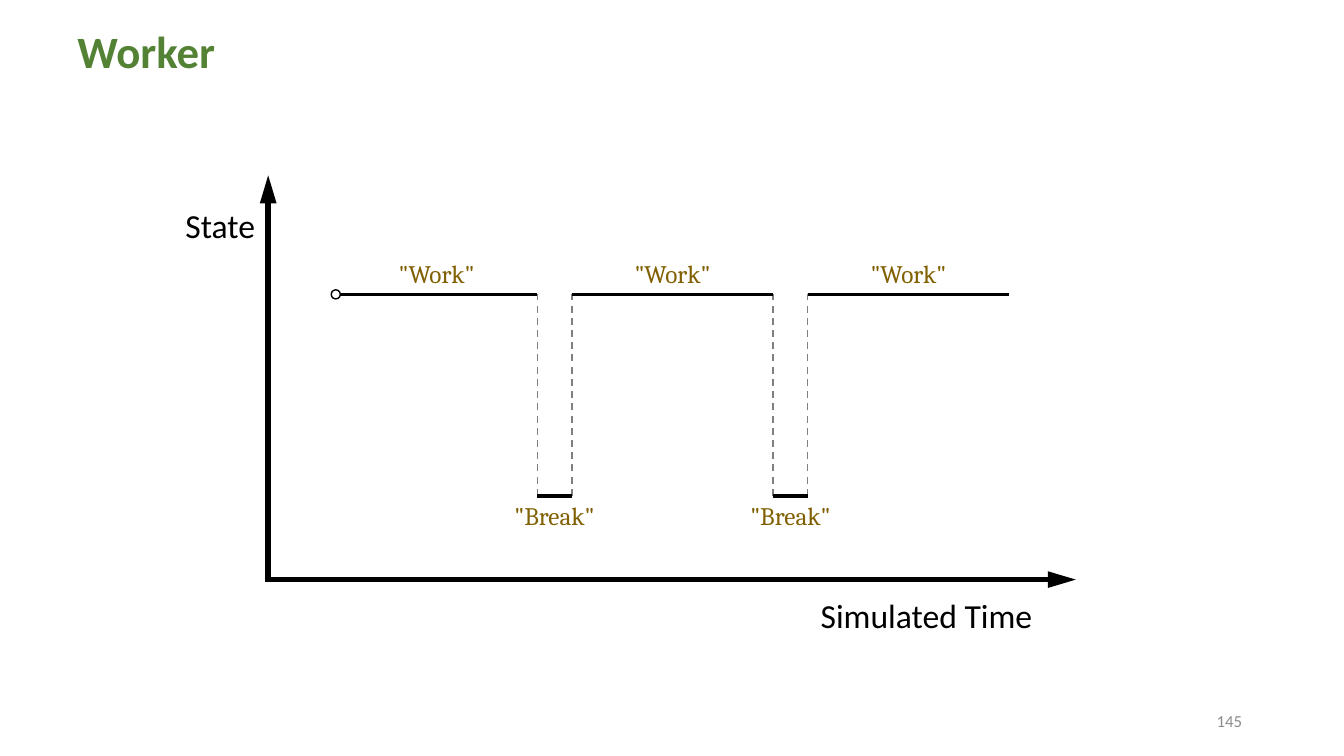
from dataclasses import dataclass
from typing import Optional

from pptx import Presentation
from pptx.dml.color import RGBColor
from pptx.enum.dml import MSO_LINE
from pptx.enum.shapes import MSO_CONNECTOR, MSO_SHAPE
from pptx.enum.text import MSO_ANCHOR, MSO_AUTO_SIZE, PP_ALIGN
from pptx.oxml.ns import qn
from pptx.util import Inches, Pt
from lxml.etree import SubElement

COLORS = {
    "axis": "000000",
    "state": "000000",
    "transition": "808080",
    "label": "806000",
    "title": "548235",
    "number": "8C8C8C",
    "marker": "FFFFFF",
}

# Timeline geometry, in inches
TIMELINE_START = 3.33
WORK_TIME, BREAK_TIME = 2.0, 0.34
WORK_LEVEL, BREAK_LEVEL = 2.92, 4.92
WORK_COUNT = 3
MARKER_SIZE = 0.09


@dataclass
class Segment:
    x1: float
    y1: float
    x2: float
    y2: float
    color: str
    weight: float
    dashed: bool = False
    arrow: bool = False


@dataclass
class Label:
    text: str
    left: float
    top: float
    width: float
    height: float
    size: float
    color: str
    font: str = "Calibri"
    bold: bool = False
    wrap: bool = False
    align: PP_ALIGN = PP_ALIGN.LEFT
    anchor: MSO_ANCHOR = MSO_ANCHOR.TOP
    spacing: Optional[float] = None


def rgb(name: str) -> RGBColor:
    return RGBColor.from_string(COLORS[name])


def draw_segment(slide, segment: Segment) -> None:
    connector = slide.shapes.add_connector(
        MSO_CONNECTOR.STRAIGHT,
        Inches(segment.x1), Inches(segment.y1),
        Inches(segment.x2), Inches(segment.y2))
    connector.line.color.rgb = rgb(segment.color)
    connector.line.width = Pt(segment.weight)
    if segment.dashed:
        connector.line.dash_style = MSO_LINE.DASH
    properties = connector._element.spPr
    if segment.arrow:
        SubElement(properties.find(qn("a:ln")), qn("a:tailEnd"),
                   type="triangle", w="med", len="lg")
    SubElement(properties, qn("a:effectLst"))


def draw_label(slide, label: Label) -> None:
    box = slide.shapes.add_textbox(Inches(label.left), Inches(label.top),
                                   Inches(label.width), Inches(label.height))
    frame = box.text_frame
    frame.word_wrap = label.wrap
    frame.auto_size = MSO_AUTO_SIZE.NONE if label.wrap else MSO_AUTO_SIZE.SHAPE_TO_FIT_TEXT
    frame.vertical_anchor = label.anchor
    paragraph = frame.paragraphs[0]
    paragraph.alignment = label.align
    if label.spacing:
        paragraph.line_spacing = label.spacing
    run = paragraph.add_run()
    run.text = label.text
    run.font.name = label.font
    run.font.size = Pt(label.size)
    run.font.bold = label.bold
    run.font.color.rgb = rgb(label.color)


def state_label(text: str, center: float, top: float, width: float) -> Label:
    return Label(text, center - width / 2, top, width, 0.4, 18, "label",
                 font="Cambria", align=PP_ALIGN.CENTER)


def draw_start_marker(slide) -> None:
    marker = slide.shapes.add_shape(
        MSO_SHAPE.OVAL,
        Inches(TIMELINE_START - MARKER_SIZE / 2), Inches(WORK_LEVEL - MARKER_SIZE / 2),
        Inches(MARKER_SIZE), Inches(MARKER_SIZE))
    marker.shadow.inherit = False
    marker.fill.solid()
    marker.fill.fore_color.rgb = rgb("marker")
    marker.line.color.rgb = rgb("state")
    marker.line.width = Pt(1)


def main() -> None:
    presentation = Presentation()
    presentation.slide_width = Inches(13.33)
    presentation.slide_height = Inches(7.5)
    slide = presentation.slides.add_slide(presentation.slide_layouts[6])

    # Title, axis names and slide number
    labels = [
        Label("Worker", 0.67, 0.17, 1.79, 0.74, 32, "title", bold=True,
              wrap=True, anchor=MSO_ANCHOR.MIDDLE, spacing=0.9),
        Label("State", 1.74, 1.98, 0.9, 0.5, 24, "axis"),
        Label("Simulated Time", 8.04, 5.85, 2.32, 0.5, 24, "axis"),
        Label("145", 9.42, 6.95, 3, 0.4, 12, "number", wrap=True,
              align=PP_ALIGN.RIGHT, anchor=MSO_ANCHOR.MIDDLE),
    ]

    # Axes
    axes = [
        Segment(2.64, 5.75, 10.67, 5.75, "axis", 4, arrow=True),
        Segment(2.66, 5.77, 2.66, 1.74, "axis", 4, arrow=True),
    ]

    # Work periods with a break between each pair
    transitions: list[Segment] = []
    states: list[Segment] = []
    for period in range(WORK_COUNT):
        work_start = TIMELINE_START + period * (WORK_TIME + BREAK_TIME)
        work_end = work_start + WORK_TIME
        states.append(Segment(work_start, WORK_LEVEL, work_end, WORK_LEVEL, "state", 2.5))
        labels.append(state_label('"Work"', work_start + WORK_TIME / 2, 2.51, 0.99))
        if period < WORK_COUNT - 1:
            break_end = work_end + BREAK_TIME
            states.append(Segment(work_end, BREAK_LEVEL, break_end, BREAK_LEVEL, "state", 2.5))
            labels.append(state_label('"Break"', work_end + BREAK_TIME / 2, 4.91, 1.04))
            for moment in (work_end, break_end):
                transitions.append(Segment(moment, BREAK_LEVEL, moment, WORK_LEVEL,
                                           "transition", 1.25, dashed=True))

    # Drawing order: transitions at the back, labels in front
    for segment in transitions + axes + states:
        draw_segment(slide, segment)
    draw_start_marker(slide)
    for label in labels:
        draw_label(slide, label)

    presentation.save("out.pptx")


if __name__ == "__main__":
    main()
